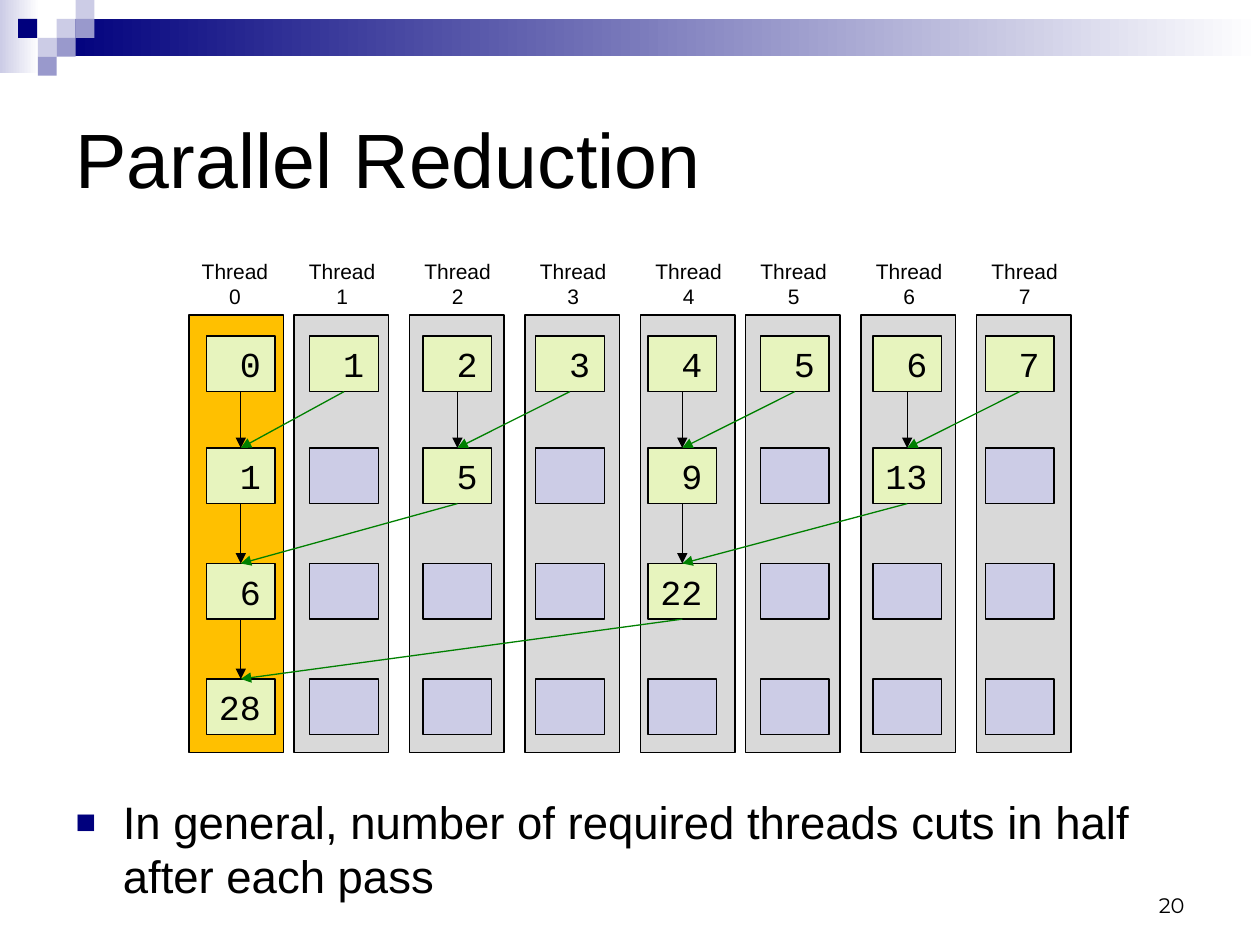
from lxml import etree
from pptx import Presentation
from pptx.dml.color import RGBColor
from pptx.enum import shapes, text
from pptx.oxml.ns import qn
from pptx.util import Pt

COLORS = {
    "navy": "00007D", "lavender": "CCCCE6", "violet": "9999CC", "white": "FFFFFF",
    "black": "000000", "lane": "D9D9D9", "first lane": "FFC000",
    "value": "E7F4BE", "idle": "CCCCE6", "partner": "008000",
}
RGB = {name: RGBColor.from_string(value) for name, value in COLORS.items()}

prs = Presentation()
prs.slide_width, prs.slide_height = Pt(720), Pt(540)
slide = prs.slides.add_slide(prs.slide_layouts[1])


def add_rect(left, top, width, height, fill, fade_to=None, outlined=False):
    """Add a rectangle, filled plainly or with a left-to-right gradient."""
    rect = slide.shapes.add_shape(
        shapes.MSO_SHAPE.RECTANGLE, Pt(left), Pt(top), Pt(width), Pt(height))
    rect.shadow.inherit = False
    if fade_to:
        rect.fill.gradient()
        rect.fill.gradient_angle = 0
        for stop, position, name in zip(rect.fill.gradient_stops, (0, 1), (fill, fade_to)):
            stop.position = position
            stop.color.rgb = RGB[name]
    else:
        rect.fill.solid()
        rect.fill.fore_color.rgb = RGB[fill]
    if outlined:
        rect.line.color.rgb = RGB["black"]
        rect.line.width = Pt(0.75)
    else:
        rect.line.fill.background()
    return rect


def write(frame, lines, size, font, align, anchor, wrap=True):
    """Fill a text frame with one single-run paragraph per line."""
    frame.auto_size = text.MSO_AUTO_SIZE.NONE
    frame.word_wrap = wrap
    frame.vertical_anchor = anchor
    for i, line in enumerate(lines):
        paragraph = frame.add_paragraph() if i else frame.paragraphs[0]
        paragraph.alignment = align
        paragraph.space_before = Pt(0)
        run = paragraph.add_run()
        run.text = line
        run.font.size = Pt(size)
        run.font.name = font
        run.font.color.rgb = RGB["black"]


LEFT, CENTER, RIGHT = text.PP_ALIGN.LEFT, text.PP_ALIGN.CENTER, text.PP_ALIGN.RIGHT
TOP, MIDDLE, BOTTOM = text.MSO_ANCHOR.TOP, text.MSO_ANCHOR.MIDDLE, text.MSO_ANCHOR.BOTTOM

# Header band and its mosaic of squares
add_rect(0, 0, 22.5, 41.75, "lavender", fade_to="white")
add_rect(32.4, 10.8, 687.6, 21.4, "navy", fade_to="white")
TILE = 10.8
for left, row, fill in [
    (32.4, 1, "lavender"), (43.2, 0, "lavender"), (43.2, 1, "violet"),
    (21.6, 2, "lavender"), (10.4, 1, "navy"), (32.4, 2, "violet"), (21.6, 3, "violet"),
]:
    add_rect(left, row * TILE, TILE, TILE, fill)

# Title
title = slide.shapes.title
title.left, title.top, title.width, title.height = Pt(36), Pt(36), Pt(648), Pt(108)
write(title.text_frame, ["Parallel Reduction"], 44, "Arial", LEFT, MIDDLE)

# One lane per thread
lane_lefts = [108, 168, 234, 300, 366, 426, 492, 558]
for thread, left in enumerate(lane_lefts):
    add_rect(left, 180, 54, 250, "lane" if thread else "first lane", outlined=True)
    label = slide.shapes.add_textbox(
        Pt(left + 1.2 if thread else left), Pt(144), Pt(52.6), Pt(36.7))
    write(label.text_frame, ["Thread", str(thread)], 12, "Arial", CENTER, TOP, wrap=False)

# Each pass adds pairs of values that lie twice as far apart as in the pass before
CELL_WIDTH, CELL_HEIGHT = 39.2, 31.8
cell_lefts = [118, 177] + [241.8 + 64.25 * i for i in range(6)]
cell_tops = [192, 256, 322, 388]
centers = [left + CELL_WIDTH / 2 for left in cell_lefts]
sums = list(range(8))
arrows = []
for level, top in enumerate(cell_tops):
    stride = 2 ** level
    for thread, left in enumerate(cell_lefts):
        active = thread % stride == 0
        cell = add_rect(left, top, CELL_WIDTH, CELL_HEIGHT,
                        "value" if active else "idle", outlined=True)
        if not active:
            continue
        if level:
            partner = thread + stride // 2
            sums[thread] += sums[partner]
            arrows += [(level, thread, thread, "black"), (level, partner, thread, "partner")]
        write(cell.text_frame, [f"{sums[thread]:>2}"], 20, "Courier New", LEFT, MIDDLE, wrap=False)

for level, source, target, color in arrows:
    arrow = slide.shapes.add_connector(
        shapes.MSO_CONNECTOR.STRAIGHT,
        Pt(centers[source]), Pt(cell_tops[level - 1] + CELL_HEIGHT),
        Pt(centers[target]), Pt(cell_tops[level]))
    arrow.line.color.rgb = RGB[color]
    arrow.line.width = Pt(0.75)
    etree.SubElement(arrow.line._get_or_add_ln(), qn("a:tailEnd"), type="triangle")
    etree.SubElement(arrow._element.spPr, qn("a:effectLst"))

# Conclusion
body = slide.placeholders[1]
body.left, body.top, body.width, body.height = Pt(36), Pt(450), Pt(648), Pt(66)
write(body.text_frame, ["In general, number of required threads cuts in half after each pass"],
      26, "Arial", LEFT, TOP)
bullet = body.text_frame.paragraphs[0]._p.get_or_add_pPr()
bullet.set("marL", str(Pt(27)))
bullet.set("indent", str(-Pt(27)))
bullet_color = etree.SubElement(bullet, qn("a:buClr"))
etree.SubElement(bullet_color, qn("a:srgbClr"), val=COLORS["navy"])
etree.SubElement(bullet, qn("a:buSzPct"), val="75000")
etree.SubElement(bullet, qn("a:buFont"), typeface="Arial")
etree.SubElement(bullet, qn("a:buChar"), char="■")

# Slide number
page = slide.shapes.add_textbox(Pt(516), Pt(492), Pt(168), Pt(36))
write(page.text_frame, ["20"], 12, "Montserrat", RIGHT, BOTTOM)

prs.save("out.pptx")
